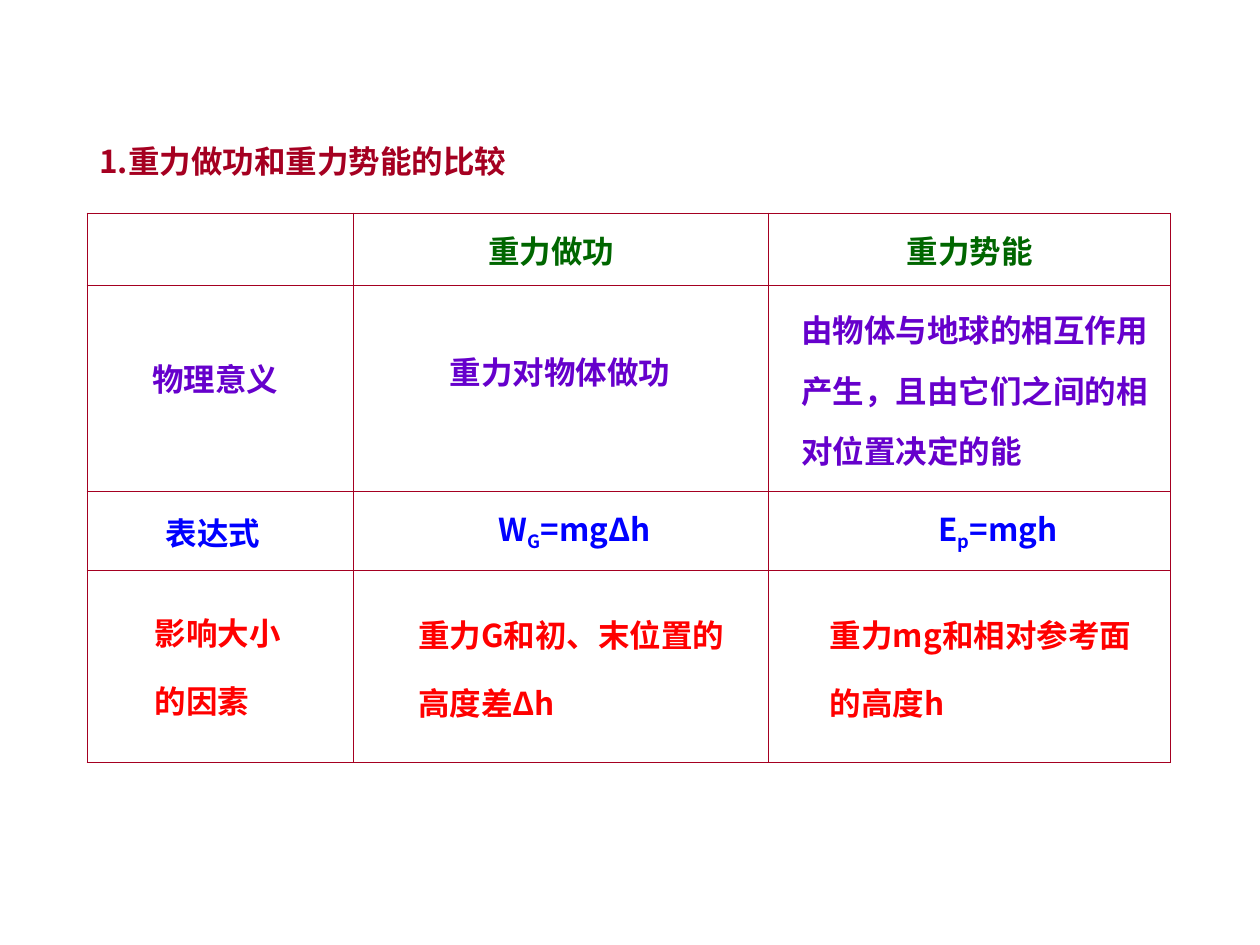
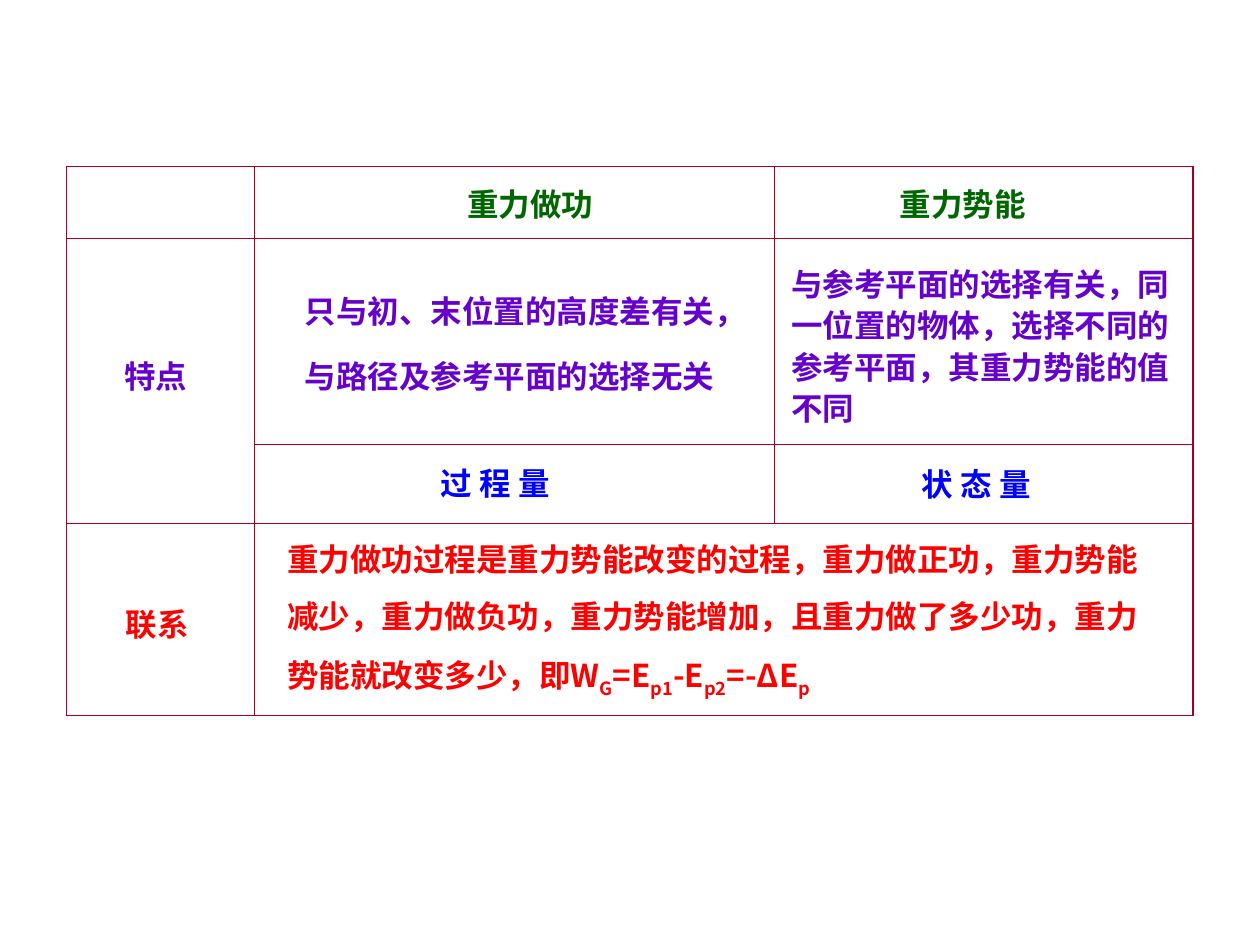
from lxml import etree
from pptx import Presentation
from pptx.dml.color import RGBColor
from pptx.enum import text as txt
from pptx.oxml import ns
from pptx.util import Pt

FONT = "Noto Sans CJK SC"
CRIMSON, GREEN, PURPLE = "A50021", "006600", "6600CC"
BLUE, RED = "0000FF", "FF0000"
OUTER, INNER = 0.75, 0.45
ROW_HEIGHTS = (41.2, 117.8, 45, 109.9)


def rgb(value):
    return RGBColor.from_string(value)


def add_run(paragraph, content, color, subscript):
    run = paragraph.add_run()
    run.text = content
    run.font.size = Pt(18)
    run.font.bold = True
    run.font.name = FONT
    run.font.color.rgb = rgb(color)
    properties = run._r.get_or_add_rPr()
    if subscript:
        properties.set("baseline", "-25000")
    etree.SubElement(properties, ns.qn("a:ea"), typeface=FONT)


def add_text(slide, content, left, top, width, height=31, *, color, spacing=1.1):
    """Add bold text; each line is a paragraph and | switches subscript on and off."""
    frame = slide.shapes.add_textbox(Pt(left), Pt(top), Pt(width), Pt(height)).text_frame
    frame.word_wrap = True
    frame.auto_size = txt.MSO_AUTO_SIZE.SHAPE_TO_FIT_TEXT
    frame.vertical_anchor = txt.MSO_ANCHOR.MIDDLE
    for number, line in enumerate(content.split("\n")):
        paragraph = frame.add_paragraph() if number else frame.paragraphs[0]
        paragraph.line_spacing = spacing
        for part, piece in enumerate(line.split("|")):
            if piece:
                add_run(paragraph, piece, color, subscript=part % 2 == 1)


def add_border(cell, side, weight):
    line = etree.SubElement(cell._tc.get_or_add_tcPr(), ns.qn(f"a:ln{side}"),
                            w=str(Pt(weight)))
    fill = etree.SubElement(line, ns.qn("a:solidFill"))
    etree.SubElement(fill, ns.qn("a:srgbClr"), val=CRIMSON)


def add_grid(slide, left, top, widths, merges=()):
    """Add an unfilled table with a heavier frame; merges holds corner pairs."""
    rows, columns = len(ROW_HEIGHTS), len(widths)
    table = slide.shapes.add_table(rows, columns, Pt(left), Pt(top),
                                   Pt(sum(widths)), Pt(sum(ROW_HEIGHTS))).table
    table.first_row = table.horz_banding = False
    for column, width in zip(table.columns, widths):
        column.width = Pt(width)
    for row, height in zip(table.rows, ROW_HEIGHTS):
        row.height = Pt(height)
    for first, last in merges:
        table.cell(*first).merge(table.cell(*last))
    for r in range(rows):
        for c in range(columns):
            cell = table.cell(r, c)
            across = cell.span_width if cell.is_merge_origin else 1
            down = cell.span_height if cell.is_merge_origin else 1
            on_frame = {"L": c == 0, "R": c + across == columns,
                        "T": r == 0, "B": r + down == rows}
            hidden = {"L": cell._tc.hMerge, "T": cell._tc.vMerge}
            for side, framed in on_frame.items():
                if not hidden.get(side):
                    add_border(cell, side, OUTER if framed else INNER)
            cell.fill.background()


def add_headings(slide, top, work_left, energy_left):
    add_text(slide, "重力做功", work_left, top, 116, color=GREEN)
    add_text(slide, "重力势能", energy_left, top, 116, color=GREEN)


def add_comparison(slide):
    add_text(slide, "1.重力做功和重力势能的比较", 49.7, 75.6, 312.5, color=CRIMSON)
    add_grid(slide, 49.8, 121.8, (152, 237.2, 229.8))
    add_headings(slide, 126.7, 272, 511)

    add_text(slide, "物理意义", 80, 200, 116, color=PURPLE)
    add_text(slide, "重力对物体做功", 249.8, 195.8, 170, color=PURPLE)
    add_text(slide, "由物体与地球的相互作用产生，且由它们之间的相对位置决定的能",
             450.7, 161.3, 217.5, 111, color=PURPLE, spacing=1.6)

    add_text(slide, "表达式", 87.8, 288, 125, color=BLUE)
    add_text(slide, "W|G|=mgΔh", 278, 285, 170, 34.5, color=BLUE)
    add_text(slide, "E|p|=mgh", 529.2, 285, 109.5, 34.5, color=BLUE)

    factors = (
        ("影响大小\n的因素", 81.3, 329.8, 170),
        ("重力G和初、末位置的\n高度差Δh", 231.8, 331.2, 216.7),
        ("重力mg和相对参考面\n的高度h", 467.2, 331.2, 233.3),
    )
    for content, left, top, width in factors:
        add_text(slide, content, left, top, width, 85, color=RED, spacing=1.8)


def add_features(slide):
    add_grid(slide, 38, 95, (107.3, 297.4, 239),
             merges=(((1, 0), (2, 0)), ((3, 1), (3, 2))))
    add_headings(slide, 100, 260, 507)

    add_text(slide, "特点", 64, 198, 83, color=PURPLE)
    add_text(slide, "只与初、末位置的高度差有关，\n与路径及参考平面的选择无关",
             167, 148.3, 322, 80.6, color=PURPLE, spacing=1.7)
    add_text(slide, "与参考平面的选择有关，同\n一位置的物体，选择不同的\n"
             "参考平面，其重力势能的值\n不同", 445, 145.4, 257.8, 102.2, color=PURPLE)

    add_text(slide, "过 程 量", 244.8, 259.2, 170, color=BLUE)
    add_text(slide, "状 态 量", 519.8, 260, 139, color=BLUE)

    add_text(slide, "联系", 64.8, 339.8, 139, color=RED)
    add_text(slide, "重力做功过程是重力势能改变的过程，重力做正功，重力势能\n"
             "减少，重力做负功，重力势能增加，且重力做了多少功，重力\n"
             "势能就改变多少，即W|G|=E|p1|-E|p2|=-ΔE|p",
             157, 294.5, 548.6, 108.7, color=RED, spacing=1.5)


def main():
    deck = Presentation()
    deck.slide_width, deck.slide_height = Pt(720), Pt(540)
    blank = deck.slide_layouts[6]
    for build in (add_comparison, add_features):
        build(deck.slides.add_slide(blank))
    deck.save("out.pptx")


if __name__ == "__main__":
    main()
